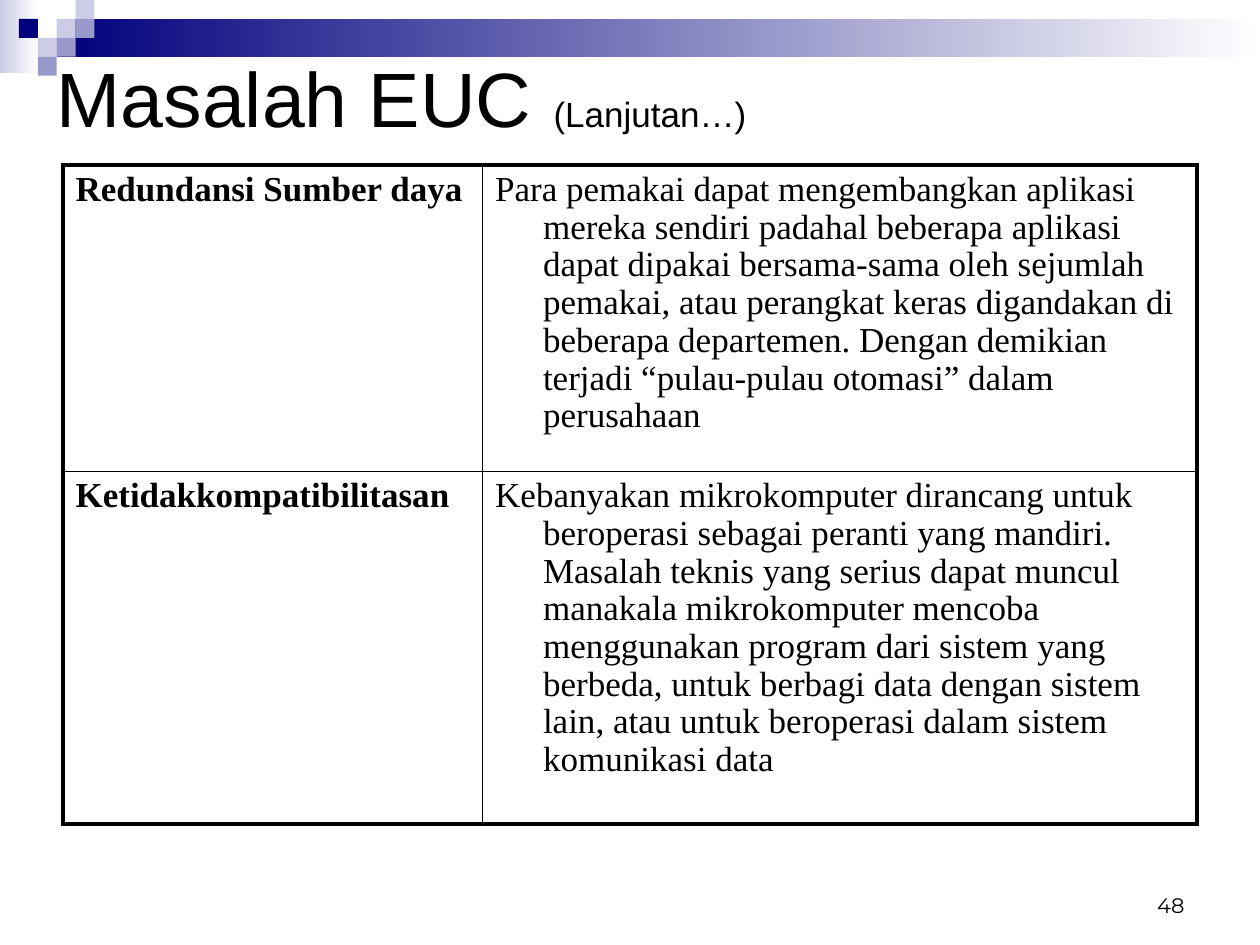
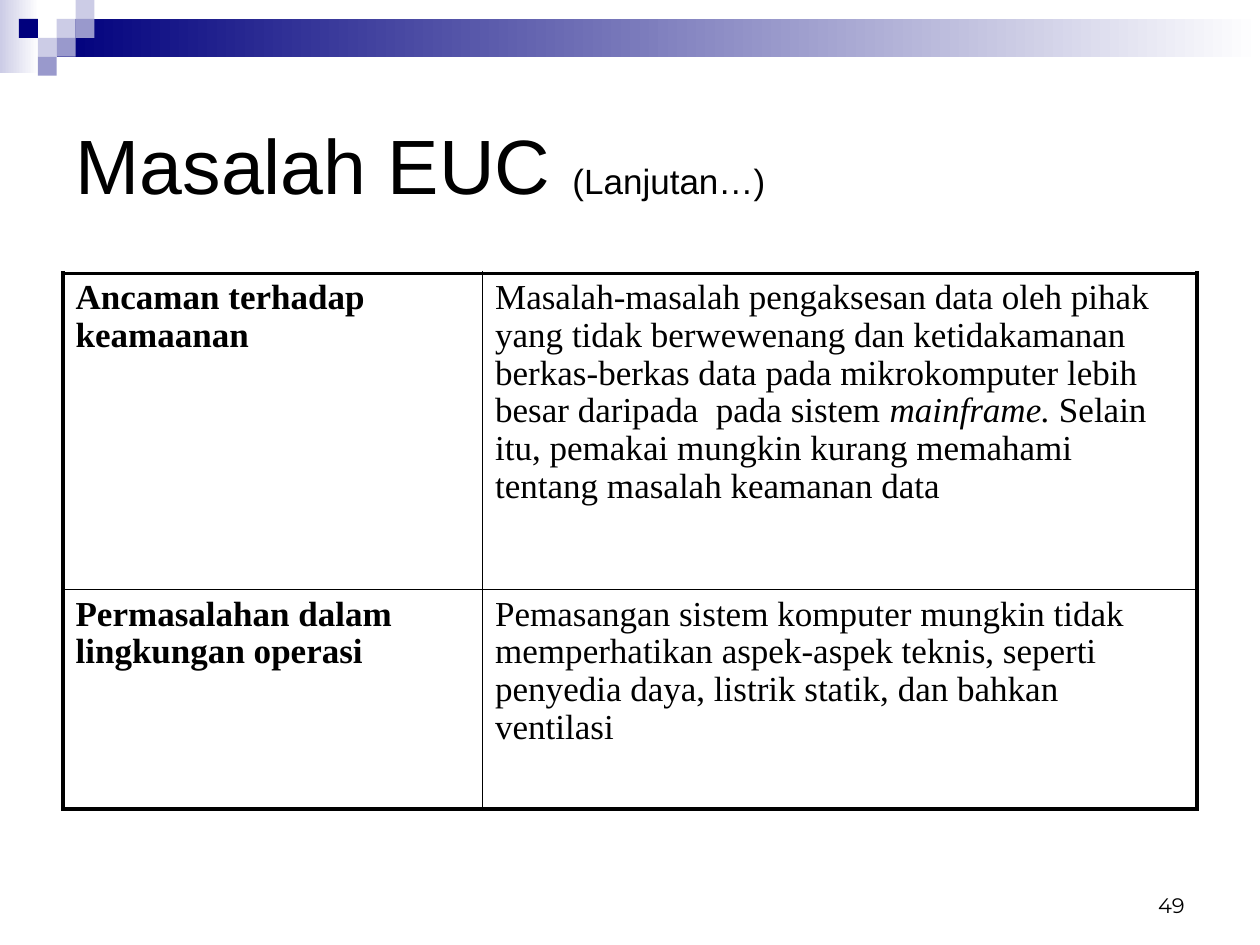
from lxml.etree import SubElement
from pptx import Presentation
from pptx.dml.color import RGBColor
from pptx.enum.shapes import MSO_SHAPE
from pptx.enum.text import MSO_ANCHOR, MSO_AUTO_SIZE, PP_ALIGN
from pptx.oxml import parse_xml
from pptx.oxml.ns import nsdecls
from pptx.util import Inches, Pt

WIDTH, HEIGHT = 10, 7.5
UNIT = 0.15                     # side of one mosaic square
MARGIN = 0.05 * WIDTH
COLS = (3.33, 5.67)
BLACK, NAVY, LILAC, PALE, WHITE = "000000", "00007D", "9999CC", "CCCCE6", "FFFFFF"
HEAD_FONT, BODY_FONT, NUMBER_FONT = "Arial", "Times New Roman", "Montserrat"
THICK, THIN = 2.5, 0.45
HANG = 0.38

# Mosaic squares as (column, row, colour)
MOSAIC = [
    (3, 1, PALE), (4, 0, PALE), (4, 1, LILAC), (2, 2, PALE),
    (1, 1, NAVY), (3, 2, LILAC), (2, 3, LILAC),
]

# Each cell is a list of (text, style) runs
SLIDES = [
    dict(number="48", title_at=(0.35, -0.03), table_top=1.31, heights=(2.43, 2.8), hang=HANG, rows=[
        ([("Redundansi Sumber daya", "b")],
         [("Para pemakai dapat mengembangkan aplikasi mereka sendiri padahal "
           "beberapa aplikasi dapat dipakai bersama-sama oleh sejumlah pemakai, "
           "atau perangkat keras digandakan di beberapa departemen. Dengan "
           "demikian terjadi “pulau-pulau otomasi” dalam perusahaan", "")]),
        ([("Ketidakkompatibilitasan", "b")],
         [("Kebanyakan mikrokomputer dirancang untuk beroperasi sebagai peranti "
           "yang mandiri. Masalah teknis yang serius dapat muncul manakala "
           "mikrokomputer mencoba menggunakan program dari sistem yang berbeda, "
           "untuk berbagi data dengan sistem lain, atau untuk beroperasi dalam "
           "sistem komunikasi data", "")]),
    ]),
    dict(number="49", title_at=(0.5, 0.5), table_top=2.17, heights=(2.51, 1.74), hang=0, rows=[
        ([("Ancaman terhadap keamaanan", "b")],
         [("Masalah-masalah pengaksesan data oleh pihak yang tidak berwewenang "
           "dan ketidakamanan berkas-berkas data pada mikrokomputer lebih besar "
           "daripada  pada sistem ", ""),
          ("mainframe.", "i"),
          (" Selain itu, pemakai mungkin kurang memahami tentang masalah "
           "keamanan data", "")]),
        ([("Permasalahan dalam lingkungan operasi", "b")],
         [("Pemasangan sistem komputer mungkin tidak memperhatikan aspek-aspek "
           "teknis, seperti penyedia daya, listrik statik, dan bahkan ventilasi", "")]),
    ]),
]


def rgb(color):
    return RGBColor.from_string(color)


def box(left, top, width, height):
    return [Inches(v) for v in (left, top, width, height)]


def add_run(p, text, size, font, style=""):
    r = p.add_run()
    r.text = text
    r.font.size, r.font.name = Pt(size), font
    r.font.bold, r.font.italic = "b" in style, "i" in style
    r.font.color.rgb = rgb(BLACK)


def add_rect(shapes, at, *colors):
    """One colour gives a solid fill, two a left-to-right gradient."""
    sp = shapes.add_shape(MSO_SHAPE.RECTANGLE, *box(*at))
    sp.shadow.inherit = False
    sp.line.fill.background()
    if len(colors) == 1:
        sp.fill.solid()
        sp.fill.fore_color.rgb = rgb(colors[0])
    else:
        sp.fill.gradient()
        sp.fill.gradient_angle = 0
        for stop, color in zip(sp.fill.gradient_stops, colors):
            stop.color.rgb = rgb(color)


def add_master_band(prs, s):
    """Draw the top band as a group and move it behind the master's placeholders."""
    group = s.shapes.add_group_shape()
    add_rect(group.shapes, (0, 0, 0.31, 0.58), PALE, WHITE)
    add_rect(group.shapes, (3 * UNIT, UNIT, WIDTH - 3 * UNIT, 2 * UNIT), NAVY, WHITE)
    for col, row, color in MOSAIC:
        add_rect(group.shapes, (col * UNIT, row * UNIT, UNIT, UNIT), color)
    prs.slide_master.shapes.element.insert(2, group.element)


def add_title(s, left, top):
    sp = s.shapes.title
    sp.left, sp.top, sp.width, sp.height = box(left, top, WIDTH - 2 * MARGIN, 0.2 * HEIGHT)
    tf = sp.text_frame
    tf.auto_size, tf.vertical_anchor = MSO_AUTO_SIZE.NONE, MSO_ANCHOR.MIDDLE
    tf.margin_top = Inches(0.15)
    p = tf.paragraphs[0]
    p.alignment = PP_ALIGN.LEFT
    add_run(p, "Masalah EUC ", 44, HEAD_FONT)
    add_run(p, "(Lanjutan…)", 20, HEAD_FONT)


def add_number(s, number):
    width = 2.33
    tf = s.shapes.add_textbox(*box(WIDTH - MARGIN - width, 6.83, width, 0.5)).text_frame
    tf.word_wrap, tf.vertical_anchor = True, MSO_ANCHOR.BOTTOM
    p = tf.paragraphs[0]
    p.alignment = PP_ALIGN.RIGHT
    add_run(p, number, 12, NUMBER_FONT)


def set_borders(cell, widths):
    tc_pr = cell._tc.get_or_add_tcPr()
    for i, (side, width) in enumerate(widths.items()):
        tc_pr.insert(i, parse_xml(
            f'<a:ln{side} {nsdecls("a")} w="{Pt(width)}"><a:solidFill>'
            f'<a:srgbClr val="{BLACK}"/></a:solidFill></a:ln{side}>'))


def fill_cell(cell, runs, hang):
    cell.fill.background()
    p = cell.text_frame.paragraphs[0]
    p.line_spacing = 0.97
    p_pr = p._p.get_or_add_pPr()
    p_pr.set("marL", str(Inches(hang)))
    p_pr.set("indent", str(-Inches(hang)))
    for text, style in runs:
        add_run(p, text, 20, BODY_FONT, style)


def add_problem_table(s, top, heights, rows, hang):
    frame = s.shapes.add_table(len(rows), len(COLS),
                               *box(MARGIN, top, sum(COLS), sum(heights)))
    table = frame.table
    table.first_row = table.horz_banding = False
    for column, width in zip(table.columns, COLS):
        column.width = Inches(width)
    last_row, last_col = len(rows) - 1, len(COLS) - 1
    for i, (height, row) in enumerate(zip(heights, rows)):
        table.rows[i].height = Inches(height)
        for j, runs in enumerate(row):
            cell = table.cell(i, j)
            fill_cell(cell, runs, hang)
            outer = dict(L=j == 0, R=j == last_col, T=i == 0, B=i == last_row)
            set_borders(cell, {side: THICK if edge else THIN for side, edge in outer.items()})


def main():
    prs = Presentation()
    prs.slide_width, prs.slide_height = Inches(WIDTH), Inches(HEIGHT)
    title_only = prs.slide_layouts[5]
    for i, content in enumerate(SLIDES):
        s = prs.slides.add_slide(title_only)
        if i == 0:
            add_master_band(prs, s)
        add_number(s, content["number"])
        add_title(s, *content["title_at"])
        add_problem_table(s, content["table_top"], content["heights"],
                          content["rows"], content["hang"])
    prs.save("out.pptx")


if __name__ == "__main__":
    main()
